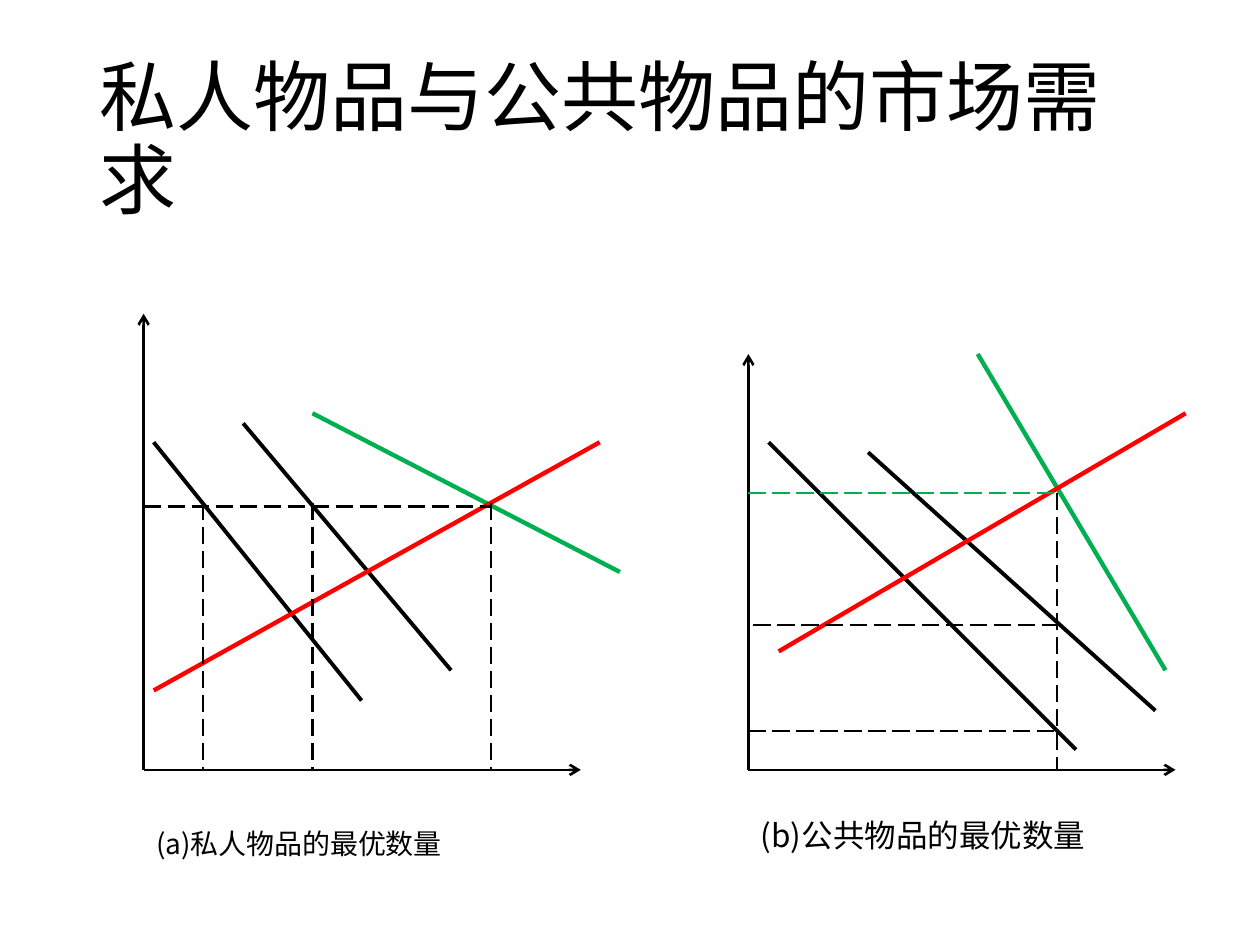
"""Builds a slide comparing market demand for private and public goods."""
from lxml import etree
from pptx import Presentation, util as u
from pptx.dml.color import RGBColor
from pptx.enum import dml, shapes, text
from pptx.oxml import ns

deck = Presentation()
deck.slide_width, deck.slide_height = u.Inches(10), u.Inches(7.5)
page = deck.slides.add_slide(deck.slide_layouts[6])
COL, ROW = deck.slide_width / 100, deck.slide_height / 75
BLACK, GREEN, RED = "000000", "00B050", "FF0000"
BASE = 61.1


def add_line(start, end, color, width, dashed=False, arrow=False):
    ends = [round(n * unit) for point in (start, end) for n, unit in zip(point, (COL, ROW))]
    line = page.shapes.add_connector(shapes.MSO_CONNECTOR.STRAIGHT, *ends)
    line.line.color.rgb = RGBColor.from_string(color)
    line.line.width = u.Pt(width)
    if dashed:
        line.line.dash_style = dml.MSO_LINE.LONG_DASH
    if arrow:
        etree.SubElement(line.line._get_or_add_ln(), ns.qn("a:tailEnd"), type="arrow")
    etree.SubElement(line._element.spPr, ns.qn("a:effectLst"))


def add_text(words, left, top, width, height, size, font):
    box = page.shapes.add_textbox(*(round(n) for n in (left * COL, top * ROW, width * COL, height * ROW)))
    box.text_frame.word_wrap = True
    para = box.text_frame.paragraphs[0]
    span = para.add_run()
    span.text = words
    span.font.size = u.Pt(size)
    span.font.name = font
    span.font.color.rgb = RGBColor.from_string(BLACK)
    etree.SubElement(span.font._element, ns.qn("a:ea"), typeface="Noto Sans CJK SC")
    return box


title = add_text("私人物品与公共物品的市场需求", 6.9, 4, 86.2, 14.5, 44, "Calibri")
title.text_frame.vertical_anchor = text.MSO_ANCHOR.MIDDLE
title.text_frame.paragraphs[0].line_spacing = 0.9

charts = [
    {
        "origin": 11.4, "axis_top": 24.9, "axis_right": 46.1,
        "demand": [((12.2, 35.1), (28.7, 55.6)), ((19.3, 33.6), (35.8, 53.2))],
        "market": ((24.8, 32.8), (49.2, 45.4)),
        "supply": ((12.2, 54.8), (47.6, 35.1)),
        "guides": [((11.4, 40.2), (39, 40.2), BLACK)]
        + [((quantity, 39.9), (quantity, BASE), BLACK) for quantity in (24.8, 16.1, 39)],
        "caption": ("(a)私人物品的最优数量", 11.4, 65.1, 33.1, 3.7, 16),
    },
    {
        "origin": 59.4, "axis_top": 28.1, "axis_right": 93.3,
        "demand": [((61, 35.1), (85.4, 59.5)), ((68.9, 35.9), (91.7, 56.4))],
        "market": ((77.6, 28.1), (92.5, 53.2)),
        "supply": ((61.8, 51.7), (94.1, 32.8)),
        "guides": [((83.9, 39.1), (83.9, BASE), BLACK)]
        + [((left, price), (left + 24.5, price), color)
           for left, price, color in ((59.4, 39.1, GREEN), (59.8, 49.6, BLACK), (59.4, 58, BLACK))],
        "caption": ("(b)公共物品的最优数量", 59.4, 64.3, 29.9, 4, 18),
    },
]

for chart in charts:
    corner = (chart["origin"], BASE)
    for tip in ((chart["origin"], chart["axis_top"]), (chart["axis_right"], BASE)):
        add_line(corner, tip, BLACK, 1.5, arrow=True)
    for start, end in chart["demand"]:
        add_line(start, end, BLACK, 2.25)
    add_line(*chart["market"], GREEN, 2.5)
    add_line(*chart["supply"], RED, 2.5)
    for start, end, color in chart["guides"]:
        add_line(start, end, color, 1.25, dashed=True)
    add_text(*chart["caption"], "Noto Sans CJK SC")

deck.save("out.pptx")
